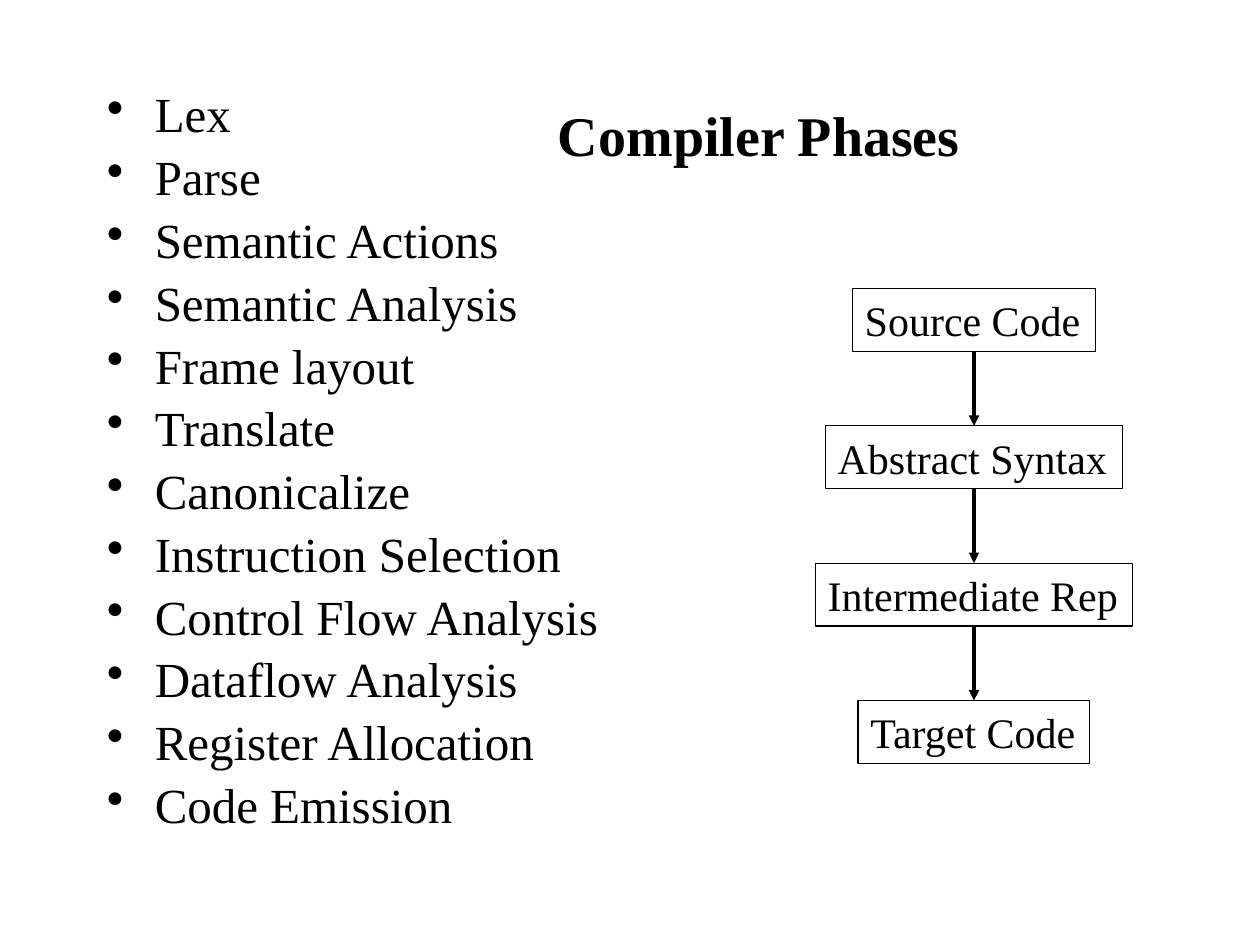
from dataclasses import dataclass
from itertools import pairwise

from lxml import etree
from pptx import Presentation, util as u
from pptx.dml.color import RGBColor
from pptx.enum import shapes, text
from pptx.oxml.ns import qn


@dataclass(frozen=True)
class Theme:
    font: str = "Times New Roman"
    ink: RGBColor = RGBColor(0, 0, 0)
    title_size: int = 32
    list_size: int = 28
    stage_size: int = 24
    border: float = 0.75
    arrow: float = 2


THEME = Theme()
WIDTH, HEIGHT = 10, 7.5

PHASES = [
    "Lex", "Parse", "Semantic Actions", "Semantic Analysis",
    "Frame layout", "Translate", "Canonicalize", "Instruction Selection",
    "Control Flow Analysis", "Dataflow Analysis", "Register Allocation",
    "Code Emission",
]
# Each stage's label with the width of its box in inches
STAGES = [
    ("Source Code", 1.93),
    ("Abstract Syntax", 2.36),
    ("Intermediate Rep", 2.52),
    ("Target Code", 1.84),
]


def inches(*lengths):
    return [u.Inches(length) for length in lengths]


def style(para, size, bold=False):
    for span in para.runs:
        span.font.name = THEME.font
        span.font.size = u.Pt(size)
        span.font.bold = bold
        span.font.color.rgb = THEME.ink


def add_bullet(para):
    props = para._p.get_or_add_pPr()
    props.set("marL", str(u.Inches(0.38)))
    props.set("indent", str(-u.Inches(0.38)))
    # Space before is a share of the line height
    before = etree.SubElement(props, qn("a:spcBef"))
    etree.SubElement(before, qn("a:spcPct")).set("val", "20000")
    etree.SubElement(props, qn("a:buChar")).set("char", "•")


def add_phase_list(page, left, top, width, height):
    box = page.shapes.add_textbox(*inches(left, top, width, height))
    frame = box.text_frame
    frame.word_wrap = True
    frame.text = "\n".join(PHASES)
    for para in frame.paragraphs:
        para.line_spacing = 0.9
        add_bullet(para)
        style(para, THEME.list_size)


def add_title(page, left, top, width, height):
    box = page.shapes.add_textbox(*inches(left, top, width, height))
    frame = box.text_frame
    frame.word_wrap = False
    frame.text = "Compiler Phases"
    style(frame.paragraphs[0], THEME.title_size, bold=True)


def add_stage(page, label, left, top, width, height):
    box = page.shapes.add_shape(
        shapes.MSO_SHAPE.RECTANGLE, *inches(left, top, width, height))
    box.shadow.inherit = False
    box.fill.background()
    box.line.color.rgb = THEME.ink
    box.line.width = u.Pt(THEME.border)
    frame = box.text_frame
    frame.word_wrap = False
    frame.vertical_anchor = text.MSO_ANCHOR.TOP
    frame.text = label
    frame.paragraphs[0].alignment = text.PP_ALIGN.LEFT
    style(frame.paragraphs[0], THEME.stage_size)
    return box


def add_arrow(page, upper, lower):
    arrow = page.shapes.add_connector(
        shapes.MSO_CONNECTOR.STRAIGHT, 0, 0, 0, 0)
    arrow.begin_connect(upper, 2)
    arrow.end_connect(lower, 0)
    arrow.line.color.rgb = THEME.ink
    arrow.line.width = u.Pt(THEME.arrow)
    line = arrow.line._get_or_add_ln()
    etree.SubElement(line, qn("a:tailEnd")).set("type", "triangle")
    etree.SubElement(arrow._element.spPr, qn("a:effectLst"))


def add_pipeline(page, left, top, width, height):
    box_height = 0.5
    step = (height - box_height) / (len(STAGES) - 1)
    boxes = [
        add_stage(page, label, left + (width - box_width) / 2,
                  top + row * step, box_width, box_height)
        for row, (label, box_width) in enumerate(STAGES)
    ]
    for upper, lower in pairwise(boxes):
        add_arrow(page, upper, lower)


def main():
    deck = Presentation()
    deck.slide_width, deck.slide_height = inches(WIDTH, HEIGHT)
    page = deck.slides.add_slide(deck.slide_layouts[6])

    # Phases on the left, title and code forms on the right
    add_phase_list(page, 0.75, 0.67, 4.42, 6.25)
    add_title(page, 4.33, 0.75, 3.4, 0.63)
    add_pipeline(page, 6.47, 2.29, 2.52, 3.77)

    deck.save("out.pptx")


if __name__ == "__main__":
    main()
